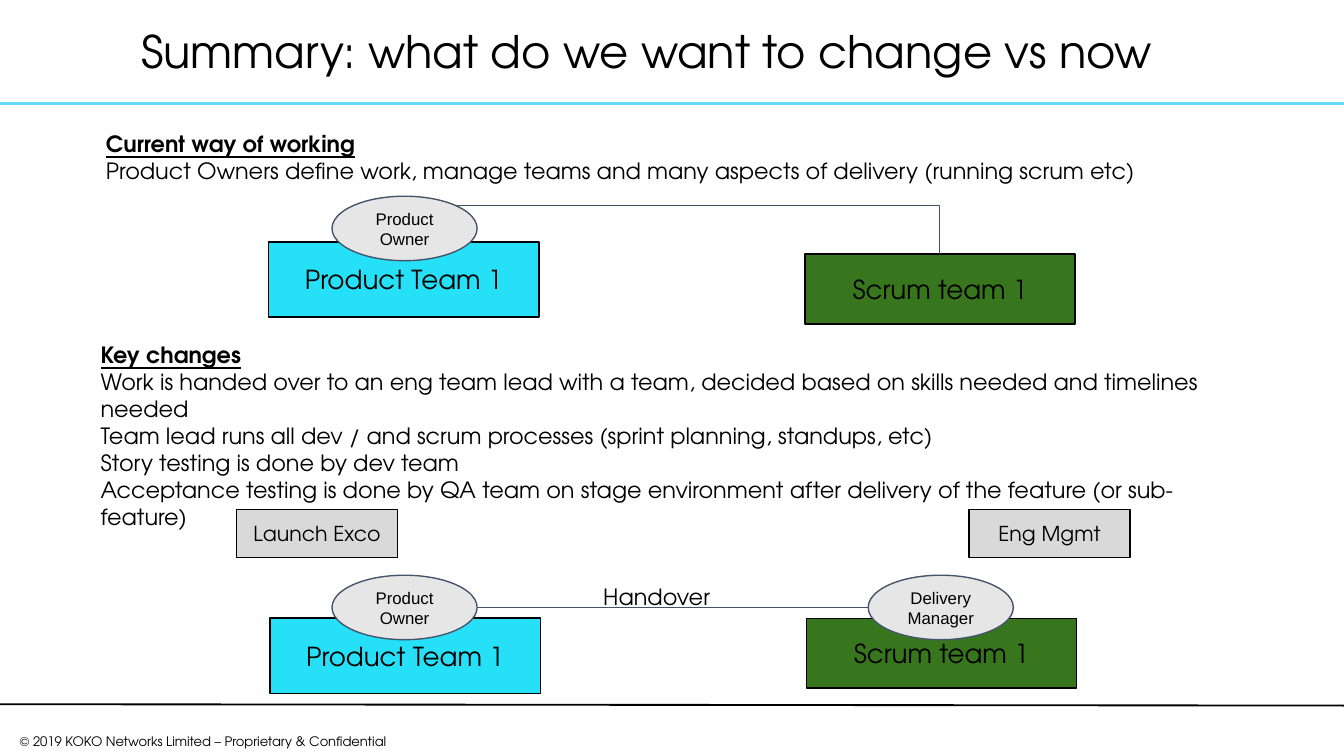
from dataclasses import dataclass

from lxml.etree import SubElement
from pptx import Presentation
from pptx.dml.color import RGBColor
from pptx.enum.shapes import MSO_CONNECTOR, MSO_SHAPE
from pptx.enum.text import MSO_ANCHOR, MSO_AUTO_SIZE, PP_ALIGN
from pptx.oxml.ns import qn
from pptx.util import Inches, Pt

BLACK = RGBColor(0x00, 0x00, 0x00)
SKY = RGBColor(0x65, 0xD9, 0xF8)
CYAN = RGBColor(0x26, 0xE0, 0xF8)
GREEN = RGBColor(0x38, 0x76, 0x1D)
SILVER = RGBColor(0xD9, 0xD9, 0xD9)
PALE = RGBColor(0xE7, 0xE6, 0xE6)
SLATE = RGBColor(0x44, 0x54, 0x6A)
FONT = "TeX Gyre Adventor"


@dataclass(frozen=True)
class Kind:
    """Look and size shared by boxes of one kind."""
    outline: MSO_SHAPE
    width: float
    height: float
    fill: RGBColor
    line: RGBColor
    size: float
    font: str = FONT


@dataclass(frozen=True)
class Box:
    """A labelled box placed on the slide."""
    kind: Kind
    label: str
    left: float
    top: float


PRODUCT = Kind(MSO_SHAPE.RECTANGLE, 2.01, 0.56, CYAN, BLACK, 14)
SCRUM = Kind(MSO_SHAPE.RECTANGLE, 2.01, 0.52, GREEN, BLACK, 14)
GROUP = Kind(MSO_SHAPE.RECTANGLE, 1.2, 0.36, SILVER, BLACK, 11)
ROLE = Kind(MSO_SHAPE.OVAL, 1.08, 0.48, PALE, SLATE, 9, "Arial")

TEAMS = [
    Box(SCRUM, "Scrum team 1", 6, 4.6),
    Box(ROLE, "Delivery Manager", 6.46, 4.28),
    Box(PRODUCT, "Product Team 1", 2.01, 4.6),
    Box(GROUP, "Eng Mgmt", 7.21, 3.79),
    Box(SCRUM, "Scrum team 1", 5.99, 1.89),
    Box(PRODUCT, "Product Team 1", 2, 1.8),
]
OWNERS = [
    Box(GROUP, "Launch Exco", 1.76, 3.79),
    Box(ROLE, "Product Owner", 2.47, 4.28),
    Box(ROLE, "Product Owner", 2.47, 1.46),
]

CURRENT = [
    "Current way of working",
    "Product Owners define work, manage teams and many aspects of delivery (running scrum etc)",
]
CHANGES = [
    "Key changes",
    "Work is handed over to an eng team lead with a team, decided based on skills needed and timelines needed",
    "Team lead runs all dev / and scrum processes (sprint planning, standups, etc)",
    "Story testing is done by dev team",
    "Acceptance testing is done by QA team on stage environment after delivery of the feature (or sub-feature)",
]


def write(shape, lines: list[str], *, size: float = 12, font: str = FONT,
          align=PP_ALIGN.LEFT, anchor=MSO_ANCHOR.TOP, inset=(0.1, 0.1),
          heading: bool = False, spacing: float = 1.0) -> None:
    """Fill a shape with formatted paragraphs."""
    frame = shape.text_frame
    frame.word_wrap = True
    frame.auto_size = MSO_AUTO_SIZE.NONE
    frame.vertical_anchor = anchor
    frame.margin_left = frame.margin_right = Inches(inset[0])
    frame.margin_top = frame.margin_bottom = Inches(inset[1])
    for index, line in enumerate(lines):
        paragraph = frame.paragraphs[0] if index == 0 else frame.add_paragraph()
        paragraph.alignment = align
        paragraph.line_spacing = spacing
        paragraph.space_before = paragraph.space_after = Pt(0)
        run = paragraph.add_run()
        run.text = line
        run.font.name = font
        run.font.size = Pt(size)
        run.font.color.rgb = BLACK
        run.font.bold = run.font.underline = heading and index == 0


def add_text(slide, lines: list[str], left: float, top: float,
             width: float, height: float, **formatting) -> None:
    """Add a text box."""
    area = slide.shapes.add_textbox(*map(Inches, (left, top, width, height)))
    write(area, lines, **formatting)


def add_box(slide, box: Box) -> None:
    """Draw a labelled box."""
    kind = box.kind
    shape = slide.shapes.add_shape(
        kind.outline, *map(Inches, (box.left, box.top, kind.width, kind.height)))
    shape.shadow.inherit = False
    shape.fill.solid()
    shape.fill.fore_color.rgb = kind.fill
    shape.line.color.rgb = kind.line
    shape.line.width = Pt(0.75)
    write(shape, [box.label], size=kind.size, font=kind.font,
          align=PP_ALIGN.CENTER, anchor=MSO_ANCHOR.MIDDLE)


def add_line(slide, start: tuple[float, float], end: tuple[float, float],
             color: RGBColor, width: float = 0.75, bent: bool = False) -> None:
    """Draw a straight line or a single-corner connector."""
    style = MSO_CONNECTOR.ELBOW if bent else MSO_CONNECTOR.STRAIGHT
    connector = slide.shapes.add_connector(style, *map(Inches, start + end))
    connector.line.color.rgb = color
    connector.line.width = Pt(width)
    properties = connector._element.spPr
    SubElement(properties, qn("a:effectLst"))
    if bent:
        properties.find(qn("a:prstGeom")).set("prst", "bentConnector2")


def main() -> None:
    """Build the slide and save it."""
    deck = Presentation()
    deck.slide_width = Inches(10)
    deck.slide_height = deck.slide_width * 9 // 16
    slide = deck.slides.add_slide(deck.slide_layouts[5])

    add_line(slide, (0, 0.77), (10.01, 0.77), SKY, 1.5)
    add_text(slide, ["© 2019 KOKO Networks Limited – Proprietary & Confidential"],
             0, 5.42, 3.02, 0.21, size=7, align=PP_ALIGN.CENTER, inset=(0.07, 0.04))
    add_line(slide, (0, 5.24), (10, 5.25), BLACK, 1)

    title = slide.shapes.title
    title.left, title.top, title.width, title.height = map(
        Inches, (0.98, 0.08, 8.64, 0.64))
    write(title, ["Summary: what do we want to change vs now"], size=24,
          anchor=MSO_ANCHOR.MIDDLE, inset=(0.07, 0.04), spacing=0.9)

    add_text(slide, CHANGES, 0.65, 2.44, 8.64, 1.08, heading=True)
    for box in TEAMS:
        add_box(slide, box)
    add_text(slide, CURRENT, 0.69, 0.87, 8.24, 0.81, heading=True)
    add_line(slide, (3, 1.53), (6.99, 1.89), SLATE, bent=True)
    add_line(slide, (3.25, 4.52), (6.46, 4.52), SLATE)
    add_text(slide, ["Handover"], 4.39, 4.24, 1.34, 0.64)
    for box in OWNERS:
        add_box(slide, box)

    deck.save("out.pptx")


if __name__ == "__main__":
    main()
